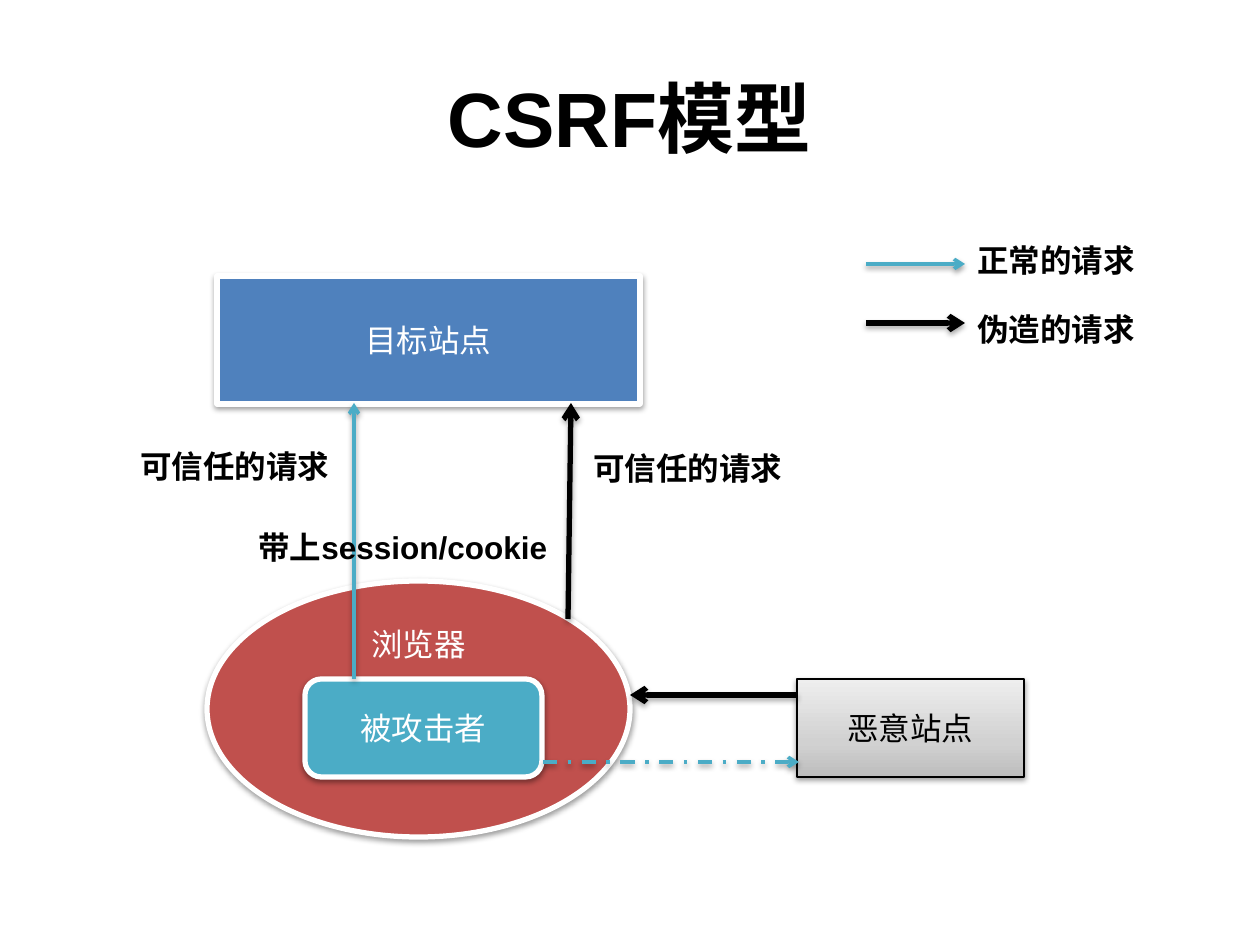
import copy
from dataclasses import dataclass
from typing import Optional

import lxml.etree
import pptx
import pptx.dml.color
import pptx.enum.dml
import pptx.enum.shapes
import pptx.enum.text
import pptx.oxml.ns
import pptx.util

EMU_PER_PX = 914400 / 126
SHAPE = pptx.enum.shapes.MSO_SHAPE
ALIGN = pptx.enum.text.PP_ALIGN
ANCHOR = pptx.enum.text.MSO_ANCHOR


@dataclass(frozen=True)
class Theme:
    black: str = "000000"
    white: str = "FFFFFF"
    blue: str = "4F81BD"
    red: str = "C0504D"
    teal: str = "4BACC6"
    greys: tuple = ((0, "BDBDBD"), (0.35, "D1D1D1"), (1, "EEEEEE"))
    heading_font: str = "Arial"
    node_font: str = "Calibri"
    title_size: int = 44
    body_size: int = 18


THEME = Theme()


@dataclass(frozen=True)
class Box:
    x: int
    y: int
    w: int
    h: int


@dataclass(frozen=True)
class Node:
    text: str
    box: Box
    shape: SHAPE
    fill: Optional[str]  # None means the grey gradient
    ink: str = THEME.white
    outline: str = THEME.white
    outline_pt: float = 3
    anchor: ANCHOR = ANCHOR.MIDDLE


@dataclass(frozen=True)
class Arrow:
    x1: int
    y1: int
    x2: int
    y2: int
    forged: bool = False
    dashed: bool = False


@dataclass(frozen=True)
class Label:
    text: str
    box: Box


NODES = [
    Node("浏览器", Box(207, 581, 423, 256), SHAPE.OVAL, THEME.red, anchor=ANCHOR.TOP),
    Node("被攻击者", Box(305, 679, 237, 98), SHAPE.ROUNDED_RECTANGLE, THEME.teal),
    Node("目标站点", Box(217, 276, 423, 128), SHAPE.RECTANGLE, THEME.blue),
    Node("恶意站点", Box(797, 679, 227, 98), SHAPE.RECTANGLE, None,
         THEME.black, THEME.black, 0.75),
]
ARROWS = [
    Arrow(354, 679, 354, 403),
    Arrow(543, 762, 799, 762, dashed=True),
    Arrow(797, 695, 630, 695, forged=True),
    Arrow(568, 619, 571, 403, forged=True),
    Arrow(866, 264, 965, 264),
    Arrow(866, 323, 965, 323, forged=True),
]
LABELS = [
    Label("带上session/cookie", Box(246, 522, 317, 50)),
    Label("可信任的请求", Box(128, 441, 217, 50)),
    Label("可信任的请求", Box(581, 443, 217, 50)),
    Label("正常的请求", Box(965, 235, 185, 50)),
    Label("伪造的请求", Box(965, 304, 185, 50)),
]


def px(n: int) -> pptx.util.Emu:
    return pptx.util.Emu(round(n * EMU_PER_PX))


def place(box: Box) -> tuple:
    return px(box.x), px(box.y), px(box.w), px(box.h)


def rgb(color: str) -> pptx.dml.color.RGBColor:
    return pptx.dml.color.RGBColor.from_string(color)


def add_xml(parent, tag: str, **attrs: str):
    return lxml.etree.SubElement(parent, pptx.oxml.ns.qn(tag), attrs)


def add_shadow(sp, dist: int = 20000, alpha: int = 38000) -> None:
    """Add a soft downward shadow; call it after fill and line are set."""
    props = sp._element.spPr
    for old in props.findall(pptx.oxml.ns.qn("a:effectLst")):
        props.remove(old)
    effects = add_xml(props, "a:effectLst")
    shadow = add_xml(effects, "a:outerShdw", blurRad="40000", dist=str(dist),
                     dir="5400000", rotWithShape="0")
    color = add_xml(shadow, "a:srgbClr", val=THEME.black)
    add_xml(color, "a:alpha", val=str(alpha))


def write(tf, text: str, size: int, font: str, color: str,
          bold: bool, align: ALIGN) -> None:
    p = tf.paragraphs[0]
    p.alignment = align
    r = p.add_run()
    r.text = text
    r.font.size = pptx.util.Pt(size)
    r.font.name = font
    r.font.bold = bold
    r.font.color.rgb = rgb(color)


def fill_grey_gradient(sp) -> None:
    sp.fill.gradient()
    sp.fill.gradient_angle = 90
    stops = sp._element.spPr.find(".//" + pptx.oxml.ns.qn("a:gsLst"))
    stops.append(copy.deepcopy(stops[0]))
    for stop, (position, color) in zip(sp.fill.gradient_stops, THEME.greys):
        stop.position = position
        stop.color.rgb = rgb(color)


def draw_node(s, node: Node) -> None:
    sp = s.shapes.add_shape(node.shape, *place(node.box))
    if node.fill is None:
        fill_grey_gradient(sp)
    else:
        sp.fill.solid()
        sp.fill.fore_color.rgb = rgb(node.fill)
    sp.line.color.rgb = rgb(node.outline)
    sp.line.width = pptx.util.Pt(node.outline_pt)
    add_shadow(sp)
    tf = sp.text_frame
    tf.vertical_anchor = node.anchor
    write(tf, node.text, THEME.body_size, THEME.node_font, node.ink, False, ALIGN.CENTER)


def draw_arrow(s, arrow: Arrow) -> None:
    sp = s.shapes.add_connector(
        pptx.enum.shapes.MSO_CONNECTOR.STRAIGHT,
        px(arrow.x1), px(arrow.y1), px(arrow.x2), px(arrow.y2))
    sp.line.color.rgb = rgb(THEME.black if arrow.forged else THEME.teal)
    sp.line.width = pptx.util.Pt(3 if arrow.forged else 2)
    if arrow.dashed:
        sp.line.dash_style = pptx.enum.dml.MSO_LINE.DASH_DOT
    add_xml(sp.line._get_or_add_ln(), "a:tailEnd", type="arrow")
    if arrow.forged:
        add_shadow(sp, 23000, 35000)
    else:
        add_shadow(sp)


def draw_label(s, label: Label) -> None:
    tf = s.shapes.add_textbox(*place(label.box)).text_frame
    tf.word_wrap = True
    tf.auto_size = pptx.enum.text.MSO_AUTO_SIZE.SHAPE_TO_FIT_TEXT
    write(tf, label.text, THEME.body_size, THEME.heading_font, THEME.black, True, ALIGN.LEFT)


def draw_title(s, text: str, box: Box) -> None:
    tf = s.shapes.add_textbox(*place(box)).text_frame
    tf.word_wrap = True
    tf.vertical_anchor = ANCHOR.MIDDLE
    write(tf, text, THEME.title_size, THEME.heading_font, THEME.black, True, ALIGN.CENTER)


def main() -> None:
    prs = pptx.Presentation()
    prs.slide_width, prs.slide_height = px(1260), px(945)
    s = prs.slides.add_slide(prs.slide_layouts[6])
    draw_title(s, "CSRF模型", Box(63, 38, 1134, 158))
    for node in NODES:
        draw_node(s, node)
    for arrow in ARROWS:
        draw_arrow(s, arrow)
    for label in LABELS:
        draw_label(s, label)
    prs.save("out.pptx")


if __name__ == "__main__":
    main()
